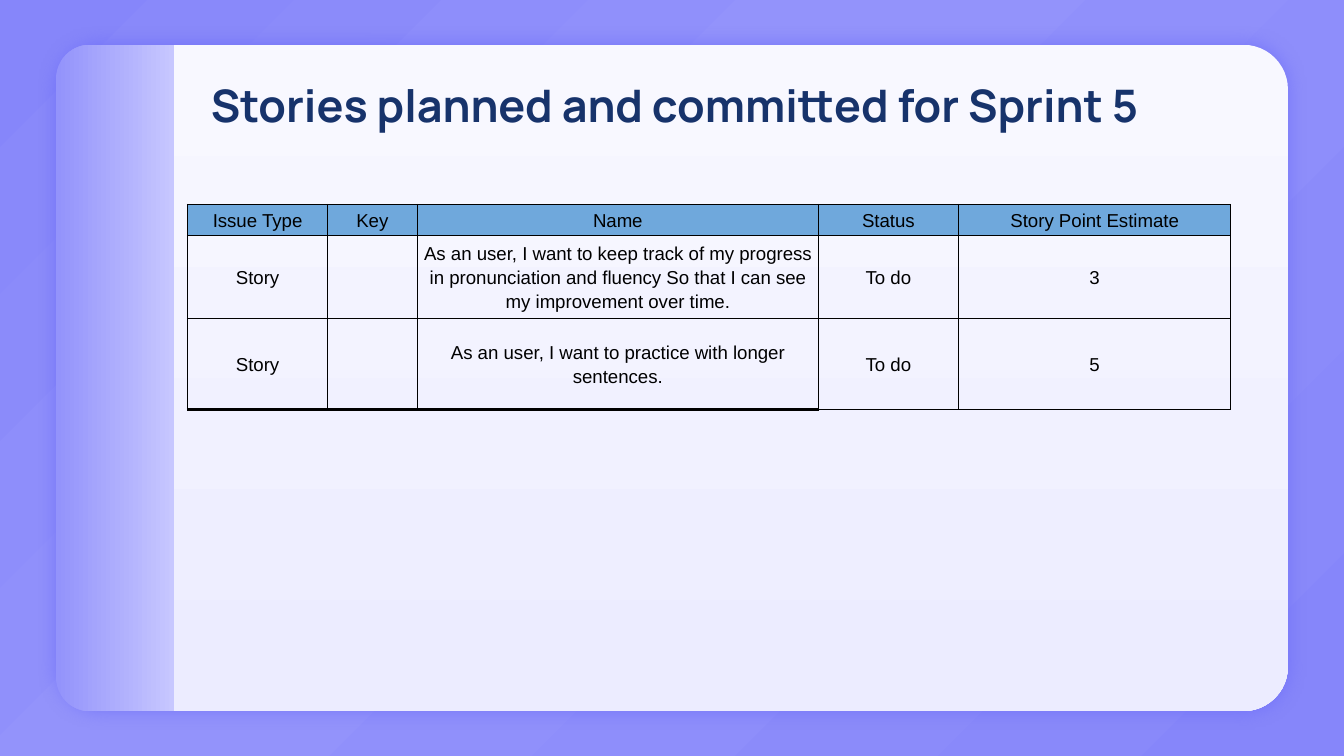
from lxml.etree import SubElement
from pptx import Presentation
from pptx.dml.color import RGBColor
from pptx.enum.shapes import MSO_SHAPE as SHAPE
from pptx.enum.text import MSO_ANCHOR as ANCHOR, MSO_AUTO_SIZE as AUTO, PP_ALIGN as ALIGN
from pptx.oxml.ns import qn
from pptx.util import Pt

COLORS = {
    "edge": "8686FA", "band": "9393FB", "card_top": "F8F8FF", "card_end": "ECECFF",
    "rail_end": "C7C7FF", "glow": "5F5FF6", "title": "17336B", "header": "6FA8DC",
    "ink": "000000",
}
ROWS = [
    ["Issue Type", "Key", "Name", "Status", "Story Point Estimate"],
    ["Story", "", "As an user, I want to keep track of my progress in pronunciation "
     "and fluency So that I can see my improvement over time.", "To do", "3"],
    ["Story", "", "As an user, I want to practice with longer sentences.", "To do", "5"],
]
COL_WIDTHS = [75, 48, 215, 75, 146]
ROW_HEIGHTS = [16, 37.5, 49]


def rgb(name):
    return RGBColor.from_string(COLORS[name])


def set_attrs(obj, values):
    for key, value in values.items():
        setattr(obj, key, value)


def add_color(parent, name):
    return SubElement(parent, qn("a:srgbClr"), val=COLORS[name])


def set_gradient(fill, root, stops, angle):
    fill.gradient()
    grad = root.find(".//" + qn("a:gradFill"))
    for child in list(grad):
        grad.remove(child)
    grad.set("rotWithShape", "1")
    gs_list = SubElement(grad, qn("a:gsLst"))
    for pos, name in stops:
        add_color(SubElement(gs_list, qn("a:gs"), pos=str(pos * 1000)), name)
    SubElement(grad, qn("a:lin"), ang=str(angle * 60000), scaled="0")


def add_panel(s, kind, box, adjustments, top, end):
    sp = s.shapes.add_shape(kind, *map(Pt, box))
    for i, value in enumerate(adjustments):
        sp.adjustments[i] = value
    set_gradient(sp.fill, sp._element.spPr, [(0, top), (100, end)], 90)
    sp.line.fill.background()
    sp.shadow.inherit = False
    return sp


def add_card(s, x, y, w, h, rail):
    card = add_panel(s, SHAPE.ROUNDED_RECTANGLE, (x, y, w, h), [0.067], "card_top", "card_end")
    effects = card._element.spPr.find(qn("a:effectLst"))
    glow = SubElement(effects, qn("a:outerShdw"), blurRad=str(Pt(10.1)), dist="0", dir="0",
                      algn="ctr", rotWithShape="0")
    SubElement(add_color(glow, "glow"), qn("a:alpha"), val="49000")
    box = (x + (rail - h) / 2, y + (h - rail) / 2, h, rail)
    side = add_panel(s, SHAPE.ROUND_2_SAME_RECTANGLE, box, [0.287, 0], "band", "rail_end")
    side.rotation = 270


def add_title(s, text, x, y, w, h):
    tf = s.shapes.add_textbox(*map(Pt, (x, y, w, h))).text_frame
    set_attrs(tf, {"word_wrap": True, "auto_size": AUTO.SHAPE_TO_FIT_TEXT})
    for side in ("left", "right", "top", "bottom"):
        setattr(tf, f"margin_{side}", Pt(7.2))
    r = tf.paragraphs[0].add_run()
    r.text = text
    set_attrs(r.font, {"name": "Manrope", "size": Pt(24), "bold": True})
    r.font.color.rgb = rgb("title")


def set_borders(cell, bottom):
    tc_pr = cell._tc.get_or_add_tcPr()
    widths = {"lnL": 0.75, "lnR": 0.75, "lnT": 0.75, "lnB": bottom}
    for i, (tag, width) in enumerate(widths.items()):
        ln = tc_pr.makeelement(qn("a:" + tag), {"w": str(Pt(width))})
        add_color(SubElement(ln, qn("a:solidFill")), "ink")
        tc_pr.insert(i, ln)


def fill_cell(cell, text, header, bottom):
    set_attrs(cell, {"vertical_anchor": ANCHOR.MIDDLE, "margin_left": Pt(2),
                     "margin_right": Pt(2), "margin_top": Pt(1.44), "margin_bottom": Pt(1.44)})
    if header:
        cell.fill.solid()
        cell.fill.fore_color.rgb = rgb("header")
    else:
        cell.fill.background()
    set_borders(cell, bottom)
    if text:
        p = cell.text_frame.paragraphs[0]
        set_attrs(p, {"alignment": ALIGN.CENTER, "line_spacing": 1.15})
        r = p.add_run()
        r.text = text
        set_attrs(r.font, {"name": "Arial", "size": Pt(10), "bold": False})
        r.font.color.rgb = rgb("ink")


def add_stories(s, x, y):
    box = (x, y, sum(COL_WIDTHS), sum(ROW_HEIGHTS))
    table = s.shapes.add_table(len(ROWS), len(COL_WIDTHS), *map(Pt, box)).table
    set_attrs(table, {"first_row": False, "horz_banding": False})
    for column, width in zip(table.columns, COL_WIDTHS):
        column.width = Pt(width)
    for i, (row, height) in enumerate(zip(table.rows, ROW_HEIGHTS)):
        row.height = Pt(height)
        for j, text in enumerate(ROWS[i]):
            heavy = i == len(ROWS) - 1 and j < 3
            fill_cell(table.cell(i, j), text, i == 0, 1.5 if heavy else 0.75)


def main():
    prs = Presentation()
    set_attrs(prs, {"slide_width": Pt(720), "slide_height": Pt(405)})
    s = prs.slides.add_slide(prs.slide_layouts[6])
    set_gradient(s.background.fill, s._element, [(0, "edge"), (58, "band"), (100, "edge")], 225)
    add_card(s, 30, 24, 660, 357, rail=63.25)
    add_title(s, "Stories planned and committed for Sprint 5", 105.84, 34.56, 570, 44)
    add_stories(s, 100.5, 109.5)
    prs.save("out.pptx")


if __name__ == "__main__":
    main()
